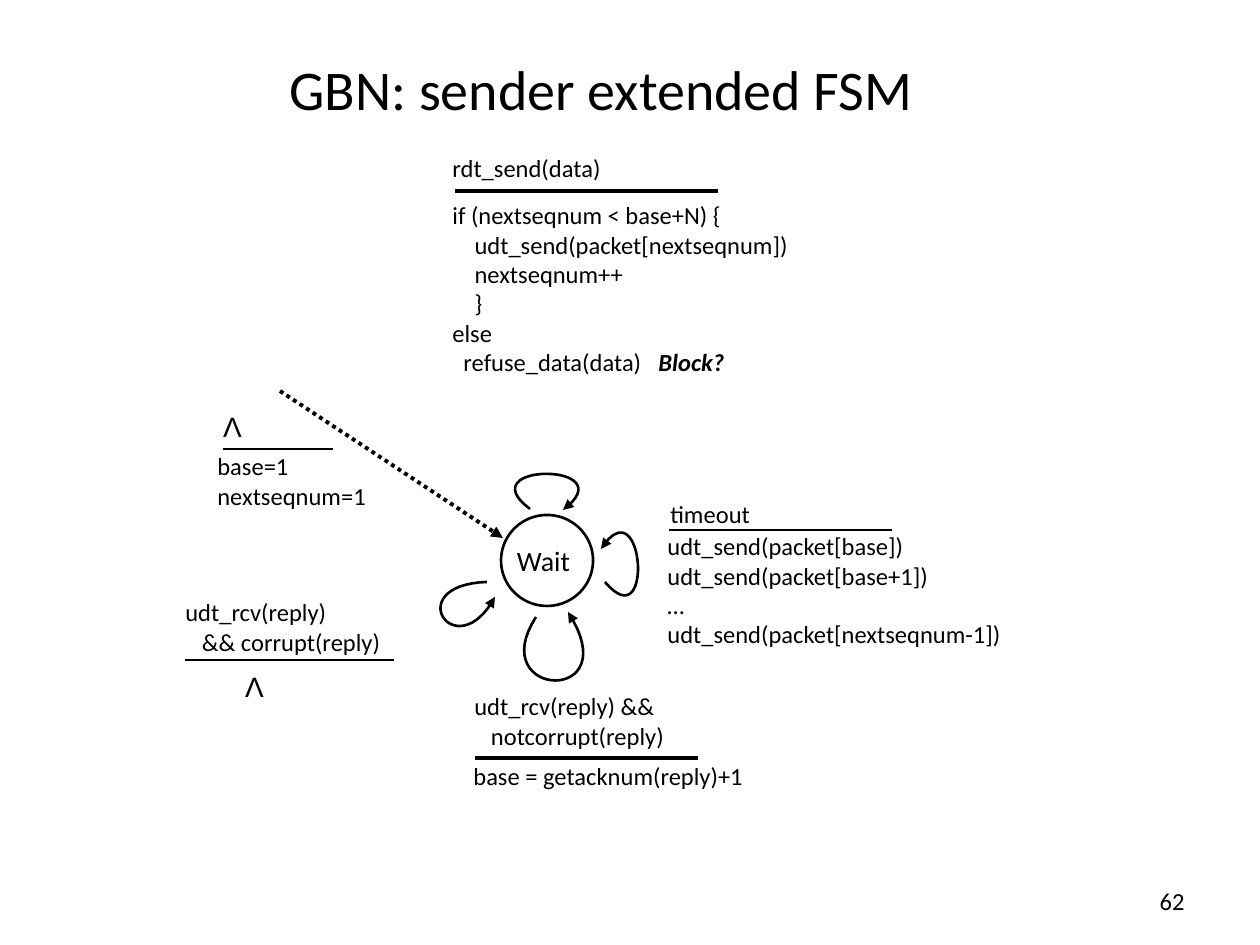
import pptx
import pptx.util
import pptx.dml.color
import pptx.enum.dml
import pptx.enum.shapes
import pptx.enum.text
import pptx.oxml
import pptx.oxml.ns

BLACK = pptx.dml.color.RGBColor(0, 0, 0)
WHITE = pptx.dml.color.RGBColor(255, 255, 255)
SCALE = 914400 / 126
ALIGN = pptx.enum.text.PP_ALIGN
MIDDLE = pptx.enum.text.MSO_ANCHOR.MIDDLE
DOTS = pptx.enum.dml.MSO_LINE.ROUND_DOT


def emu(px):
    return pptx.util.Emu(round(px * SCALE))


def add_xml(parent, tag, **attrs):
    node = pptx.oxml.parse_xml(f"<a:{tag} {pptx.oxml.ns.nsdecls('a')}/>")
    for key, value in attrs.items():
        node.set(key, str(value))
    parent.append(node)
    return node


def write(para, text, size=14, font="Calibri", bold=None, italic=None):
    run = para.add_run()
    run.text = text
    run.font.size = pptx.util.Pt(size)
    run.font.name = font
    run.font.bold = bold
    run.font.italic = italic
    run.font.color.rgb = BLACK


def bezier(start, first, second, end, steps=32):
    """Points along a cubic curve, start included."""
    for i in range(steps + 1):
        t = i / steps
        u = 1 - t
        yield tuple(emu(u**3 * a + 3 * u * u * t * b + 3 * u * t * t * c + t**3 * d)
                    for a, b, c, d in zip(start, first, second, end))


class Canvas:
    def __init__(self, slide):
        self.slide = slide
        self.shapes = slide.shapes

    def text(self, x, y, w, h, *lines, align=ALIGN.LEFT, anchor=None, wrap=True, **fmt):
        box = self.shapes.add_textbox(emu(x), emu(y), emu(w), emu(h))
        frame = box.text_frame
        frame.word_wrap = wrap
        frame.vertical_anchor = anchor
        for i, line in enumerate(lines):
            para = frame.add_paragraph() if i else frame.paragraphs[0]
            para.alignment = align
            write(para, line, **fmt)
        return box

    def stroke(self, shape, width, arrow=False, dash=None):
        shape.line.color.rgb = BLACK
        shape.line.width = pptx.util.Pt(width)
        if dash:
            shape.line.dash_style = dash
        if arrow:
            line = shape._element.spPr.find(pptx.oxml.ns.qn("a:ln"))
            add_xml(line, "tailEnd", type="triangle")

    def line(self, x1, y1, x2, y2, width=1.5, **style):
        link = self.shapes.add_connector(
            pptx.enum.shapes.MSO_CONNECTOR.STRAIGHT, emu(x1), emu(y1), emu(x2), emu(y2))
        self.stroke(link, width, **style)
        add_xml(link._element.spPr, "effectLst")

    def loop(self, *points):
        start, *rest = bezier(*points)
        path = self.shapes.build_freeform(*start, scale=1.0)
        path.add_line_segments(rest, close=False)
        curve = path.convert_to_shape()
        curve.shadow.inherit = False
        curve.fill.background()
        self.stroke(curve, 1.5, arrow=True)

    def state(self, x, y, w, h):
        oval = self.shapes.add_shape(
            pptx.enum.shapes.MSO_SHAPE.OVAL, emu(x), emu(y), emu(w), emu(h))
        oval.shadow.inherit = False
        oval.fill.solid()
        oval.fill.fore_color.rgb = WHITE
        self.stroke(oval, 1.5)
        return oval

    def group(self, *parts):
        self.shapes.add_group_shape(parts)


def main():
    deck = pptx.Presentation()
    deck.slide_width, deck.slide_height = emu(1260), emu(945)
    page = Canvas(deck.slides.add_slide(deck.slide_layouts[6]))

    # Title and page number
    page.text(66, 40, 1071, 97, "GBN: sender extended FSM",
              align=ALIGN.CENTER, anchor=MIDDLE, size=32)
    page.text(903, 876, 294, 50, "62", align=ALIGN.RIGHT, anchor=MIDDLE)

    # State
    page.group(page.state(501, 515, 92, 91),
               page.text(488, 537, 111, 33, "Wait", align=ALIGN.CENTER, size=16))

    # Self loops: top, right, bottom, left
    for points in (
        ((530, 509), (467, 462), (627, 462), (563, 510)),
        ((605, 582), (655, 641), (644, 483), (601, 549)),
        ((536, 617), (483, 699), (629, 706), (568, 612)),
        ((487, 582), (399, 585), (456, 669), (495, 597)),
    ):
        page.loop(*points)

    # Start
    page.line(280, 391, 503, 538, width=2.25, arrow=True, dash=DOTS)
    page.line(223, 449, 333, 449)
    page.text(205, 445, 204, 69, "base=1", "nextseqnum=1")

    # Data to send
    page.text(440, 147, 321, 35, "rdt_send(data)")
    page.line(455, 191, 718, 191, width=2.25)
    code = page.text(440, 194, 761, 202,
                     "if (nextseqnum < base+N) {",
                     "    udt_send(packet[nextseqnum])",
                     "    nextseqnum++",
                     "    }",
                     "else",
                     "  refuse_data(data)\t")
    last = code.text_frame.paragraphs[-1]
    stops = add_xml(last._p.get_or_add_pPr(), "tabLst")
    add_xml(stops, "tab", pos=emu(206), algn="l")
    write(last, "Block?", bold=True, italic=True)

    # Timeout
    page.text(658, 493, 151, 38, "timeout")
    page.line(669, 530, 892, 530)
    page.text(655, 525, 383, 115, "udt_send(packet[base])", "udt_send(packet[base+1])",
              "…", "udt_send(packet[nextseqnum-1])")

    # Good reply
    page.text(462, 685, 391, 62, "udt_rcv(reply) &&", "   notcorrupt(reply)")
    page.line(475, 758, 698, 758, width=2.25)
    page.text(461, 755, 508, 115, "base = getacknum(reply)+1")

    # Corrupt reply
    page.text(173, 591, 282, 62, "udt_rcv(reply)", "   && corrupt(reply)")
    page.line(185, 660, 394, 660)

    # Empty event and empty action
    for x, y in ((210, 403), (232, 663)):
        page.text(x, y, 45, 47, "Λ", align=ALIGN.CENTER, wrap=False, size=16, font="Arial")

    deck.save("out.pptx")


if __name__ == "__main__":
    main()
